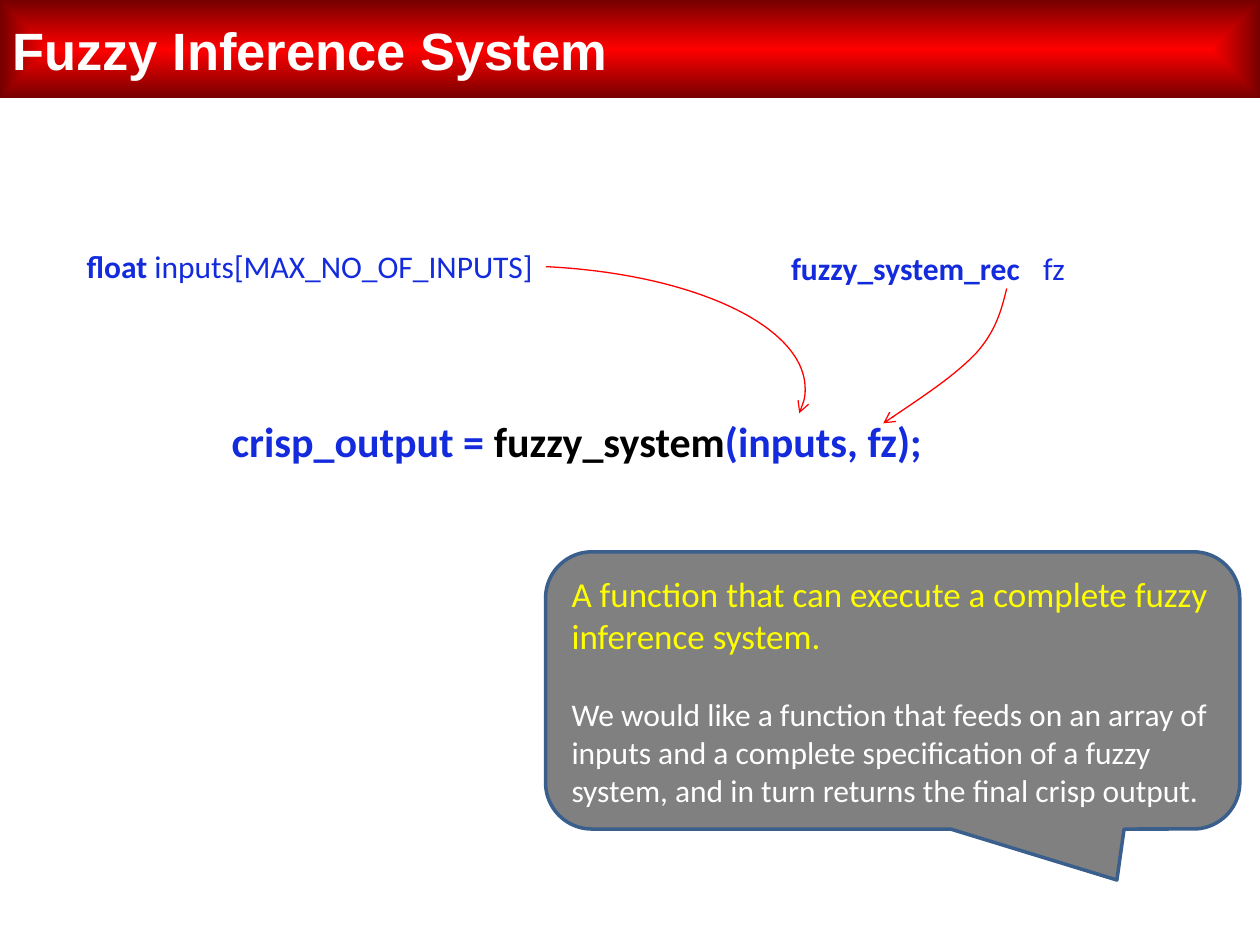
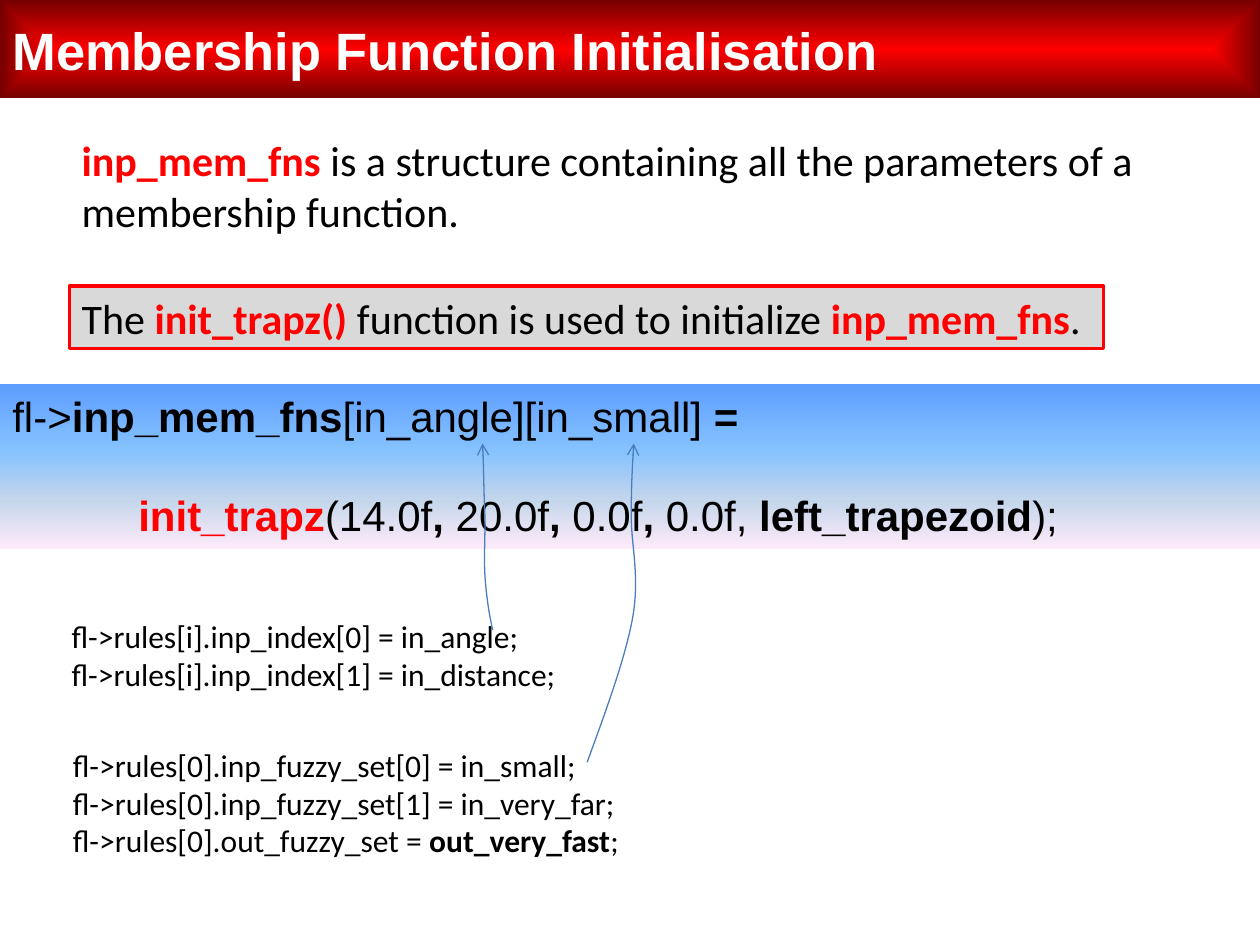
"""Build two slides on a fuzzy inference system and its membership functions."""
import lxml.etree
import pptx
import pptx.dml.color
import pptx.enum.shapes
import pptx.enum.text
import pptx.oxml
import pptx.oxml.ns
import pptx.util

Inches = pptx.util.Inches
RGBColor = pptx.dml.color.RGBColor
SHAPES = pptx.enum.shapes.MSO_SHAPE
qn = pptx.oxml.ns.qn

RED = RGBColor(0xFF, 0x00, 0x00)
DARK_RED = RGBColor(0x76, 0x00, 0x00)
WHITE = RGBColor(0xFF, 0xFF, 0xFF)
BLACK = RGBColor(0x00, 0x00, 0x00)
YELLOW = RGBColor(0xFF, 0xFF, 0x00)
CODE_BLUE = RGBColor(0x13, 0x2B, 0xDD)
GRAY = RGBColor(0x80, 0x80, 0x80)
LIGHT_GRAY = RGBColor(0xD9, 0xD9, 0xD9)
BORDER_BLUE = RGBColor(0x3A, 0x5F, 0x8C)
ARROW_BLUE = RGBColor(0x4B, 0x7E, 0xBC)
SKY = [
    (0, RGBColor(0x5E, 0x9E, 0xFF)),
    (40, RGBColor(0x85, 0xC2, 0xFF)),
    (70, RGBColor(0xC4, 0xD6, 0xEB)),
    (100, RGBColor(0xFF, 0xEB, 0xFA)),
]
FROM_CENTER = ('<a:path path="shape"><a:fillToRect l="50000" t="50000" '
               'r="50000" b="50000"/></a:path>')
DOWNWARD = '<a:lin ang="5400000" scaled="0"/>'


def add_text(shape, *runs, size=18, color=BLACK, bold=False, font="Calibri",
             space_before=0, anchor=pptx.enum.text.MSO_ANCHOR.TOP):
    """Append a paragraph of runs, each a string or (text, color, bold)."""
    frame = shape.text_frame
    frame.word_wrap = True
    frame.vertical_anchor = anchor
    paragraph = frame.add_paragraph() if frame.text else frame.paragraphs[0]
    paragraph.alignment = pptx.enum.text.PP_ALIGN.LEFT
    paragraph.space_before = pptx.util.Pt(space_before)
    for item in runs:
        text, run_color, run_bold = (item, color, bold) if isinstance(item, str) else item
        run = paragraph.add_run()
        run.text = text
        run.font.name = font
        run.font.size = pptx.util.Pt(size)
        run.font.bold = run_bold
        run.font.color.rgb = run_color


def add_gradient_band(slide, top, height, stops, direction):
    """Add a full-width rectangle filled with a gradient."""
    band = slide.shapes.add_shape(SHAPES.RECTANGLE, 0, Inches(top), Inches(10), Inches(height))
    band.shadow.inherit = False
    band.line.fill.background()
    band.fill.background()
    stop_xml = "".join(
        f'<a:gs pos="{position * 1000}"><a:srgbClr val="{color}"/></a:gs>'
        for position, color in stops)
    gradient = pptx.oxml.parse_xml(
        f'<a:gradFill {pptx.oxml.ns.nsdecls("a")} rotWithShape="1">'
        f'<a:gsLst>{stop_xml}</a:gsLst>{direction}</a:gradFill>')
    properties = band.element.spPr
    properties.replace(properties.find(qn("a:noFill")), gradient)
    return band


presentation = pptx.Presentation()
presentation.slide_width = Inches(10)
presentation.slide_height = Inches(7.5)

slides = []
for title in ["Fuzzy Inference System", "Membership Function Initialisation"]:
    slide = presentation.slides.add_slide(presentation.slide_layouts[6])
    title_band = add_gradient_band(slide, 0, 0.78, [(0, RED), (100, DARK_RED)], FROM_CENTER)
    add_text(title_band, title, size=30, color=WHITE, bold=True, font="Arial",
             anchor=pptx.enum.text.MSO_ANCHOR.MIDDLE)
    slides.append(slide)
system_slide, membership_slide = slides

callout = system_slide.shapes.add_shape(
    SHAPES.ROUNDED_RECTANGULAR_CALLOUT, Inches(4.33), Inches(4.38), Inches(5.51), Inches(2.2))
callout.adjustments[0] = 0.323
callout.adjustments[1] = 0.684
callout.adjustments[2] = 0.167
callout.shadow.inherit = False
callout.fill.solid()
callout.fill.fore_color.rgb = GRAY
callout.line.color.rgb = BORDER_BLUE
callout.line.width = pptx.util.Pt(2)
middle = pptx.enum.text.MSO_ANCHOR.MIDDLE
add_text(callout, "A function that can execute a complete fuzzy inference system.",
         size=20, color=YELLOW, anchor=middle)
add_text(callout, "We would like a function that feeds on an array of inputs and a complete "
         "specification of a fuzzy system, and in turn returns the final crisp output.",
         color=WHITE, space_before=22, anchor=middle)

summary_box = membership_slide.shapes.add_shape(
    SHAPES.RECTANGLE, Inches(0.55), Inches(2.27), Inches(8.21), Inches(0.5))
summary_box.shadow.inherit = False
summary_box.fill.solid()
summary_box.fill.fore_color.rgb = LIGHT_GRAY
summary_box.line.color.rgb = RED
summary_box.line.width = pptx.util.Pt(1.75)
add_text(summary_box, "The ", ("init_trapz() ", RED, True), "function is used to initialize ",
         ("inp_mem_fns", RED, True), ".", size=24)

code_band = add_gradient_band(membership_slide, 3.05, 1.31, SKY, DOWNWARD)
comma = (",", BLACK, True)
add_text(code_band, "fl->", ("inp_mem_fns", BLACK, True), "[in_angle][in_small] ",
         ("=", BLACK, True), size=24, font="Arial")
add_text(code_band, "\t\t", ("init_trapz", RED, True), "(14.0f", comma, " 20.0f", comma,
         " 0.0f", comma, " 0.0f, ", ("left_trapezoid", BLACK, True), ");",
         size=24, font="Arial", space_before=27.6)

text_boxes = [
    (system_slide, 0.59, 1.91, 3.9, 0.4, 18, CODE_BLUE,
     [[("float", CODE_BLUE, True), " inputs[MAX_NO_OF_INPUTS]"]]),
    (system_slide, 6.18, 1.93, 3.35, 0.4, 18, CODE_BLUE,
     [[("fuzzy_system_rec", CODE_BLUE, True), "\tfz"]]),
    (system_slide, 1.74, 3.25, 5.83, 0.5, 24, CODE_BLUE,
     [[("crisp_output = ", CODE_BLUE, True), ("fuzzy_system", BLACK, True),
       ("(inputs, fz);", CODE_BLUE, True)]]),
    (membership_slide, 0.55, 1.02, 8.7, 0.91, 24, BLACK,
     [[("inp_mem_fns", RED, True), " is a structure containing all the parameters of a"],
      ["membership function."]]),
    (membership_slide, 0.47, 4.85, 5, 0.71, 18, BLACK,
     [["fl->rules[i].inp_index[0] = in_angle;"],
      ["fl->rules[i].inp_index[1] = in_distance;"]]),
    (membership_slide, 0.48, 5.87, 5, 1.01, 18, BLACK,
     [["fl->rules[0].inp_fuzzy_set[0] = in_small;"],
      ["fl->rules[0].inp_fuzzy_set[1] = in_very_far;"],
      ["fl->rules[0].out_fuzzy_set = ", ("out_very_fast", BLACK, True), ";"]]),
]
for slide, left, top, width, height, size, color, paragraphs in text_boxes:
    text_box = slide.shapes.add_textbox(Inches(left), Inches(top), Inches(width), Inches(height))
    for runs in paragraphs:
        add_text(text_box, *runs, size=size, color=color)

inputs_arc = system_slide.shapes.add_shape(
    SHAPES.ARC, Inches(1.74), Inches(2.11), Inches(4.65), Inches(1.95))
inputs_arc.adjustments[0] = 171.229
inputs_arc.adjustments[1] = 2.932
arrows = [(inputs_arc, RED)]

bezier_arrows = [
    (system_slide, RED,
     [(7.99, 2.29), (7.95, 2.45), (7.91, 2.62), (7.75, 2.8),
      (7.58, 2.98), (7.29, 3.17), (7.01, 3.36)]),
    (membership_slide, ARROW_BLUE,
     [(3.91, 5), (3.88, 4.86), (3.86, 4.73), (3.85, 4.58), (3.84, 4.43),
      (3.85, 4.29), (3.85, 4.11), (3.84, 3.93), (3.84, 3.72), (3.83, 3.52)]),
    (membership_slide, ARROW_BLUE,
     [(4.66, 6.05), (4.81, 5.64), (4.96, 5.23), (5.02, 4.91), (5.08, 4.58),
      (5.01, 4.33), (5.01, 4.1), (5.01, 3.87), (5.02, 3.69), (5.03, 3.52)]),
]
for slide, color, points in bezier_arrows:
    start, *others = [(Inches(x), Inches(y)) for x, y in points]
    builder = slide.shapes.build_freeform(*start)
    builder.add_line_segments(others, close=False)
    curve = builder.convert_to_shape()
    outline = curve.element.xpath(".//a:path")[0]
    segments = outline.findall(qn("a:lnTo"))
    for first in range(0, len(segments), 3):
        bezier = lxml.etree.SubElement(outline, qn("a:cubicBezTo"))
        for segment in segments[first:first + 3]:
            bezier.append(segment[0])
            outline.remove(segment)
    arrows.append((curve, color))

for arrow, color in arrows:
    arrow.shadow.inherit = False
    arrow.fill.background()
    arrow.line.color.rgb = color
    arrow.line.width = pptx.util.Pt(0.75)
    line = arrow.element.spPr.get_or_add_ln()
    lxml.etree.SubElement(line, qn("a:tailEnd"), type="arrow")

presentation.save("out.pptx")
